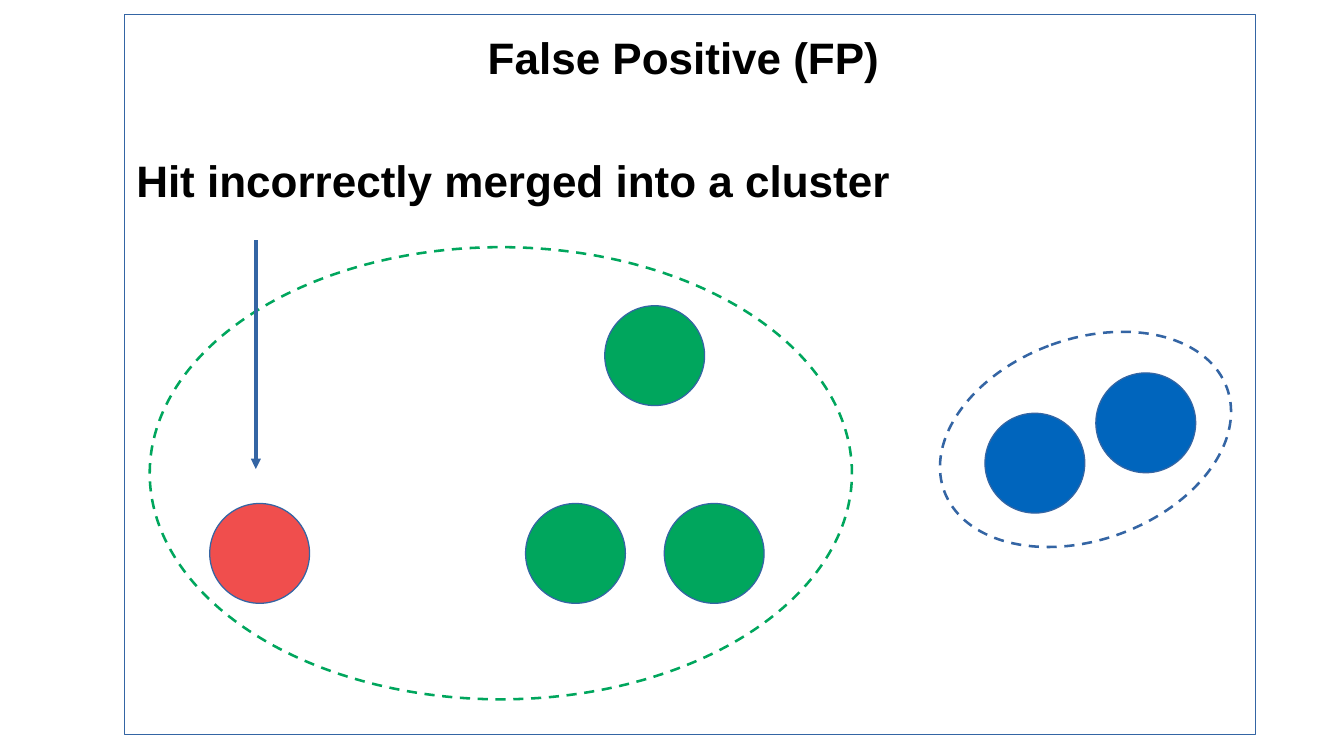
from pptx import Presentation
from pptx.dml.color import RGBColor
from pptx.enum.dml import MSO_LINE
from pptx.enum.shapes import MSO_CONNECTOR, MSO_SHAPE
from pptx.enum.text import MSO_ANCHOR, PP_ALIGN
from pptx.oxml.ns import qn
from pptx.util import Cm, Pt
from lxml import etree

RECTANGLE, OVAL = MSO_SHAPE.RECTANGLE, MSO_SHAPE.OVAL
STRAIGHT, DASH = MSO_CONNECTOR.STRAIGHT, MSO_LINE.DASH
TOP, LEFT, CENTER = MSO_ANCHOR.TOP, PP_ALIGN.LEFT, PP_ALIGN.CENTER
TITLE_ONLY = 5

COLORS = {
    "panel": "FFFFFF",
    "edge": "3465A4",
    "text": "000000",
    "wrong": "F04E4D",
    "green": "00A65D",
    "blue": "0065BD",
}
PANEL = (2.59, 0.3, 23.57, 15.01)
HIT_SIZE = 2.08
TILT = 70


def color(name):
    return RGBColor.from_string(COLORS[name])


def place(panel, left, top, width, height):
    """Turn centimetres measured from the panel corner into slide lengths."""
    return panel.left + Cm(left), panel.top + Cm(top), Cm(width), Cm(height)


def add_outlined(slide, kind, box, fill=None, line="edge", width=0, rotation=0):
    shape = slide.shapes.add_shape(kind, *box)
    shape.shadow.inherit = False
    shape.rotation = rotation
    if fill:
        shape.fill.solid()
        shape.fill.fore_color.rgb = color(fill)
    else:
        shape.fill.background()
    shape.line.color.rgb = color(line)
    shape.line.width = Pt(width)
    return shape


def add_hits(slide, panel, fill, corners, rotation=0):
    for left, top in corners:
        box = place(panel, left, top, HIT_SIZE, HIT_SIZE)
        add_outlined(slide, OVAL, box, fill, rotation=rotation)


def add_cluster_outline(slide, box, line, rotation=0):
    outline = add_outlined(slide, OVAL, box, line=line, width=1.5, rotation=rotation)
    outline.line.dash_style = DASH


def write_heading(shape, box, text, alignment):
    shape.left, shape.top, shape.width, shape.height = box
    frame = shape.text_frame
    frame.word_wrap = True
    frame.vertical_anchor = TOP
    frame.margin_left = frame.margin_right = Cm(0.25)
    frame.margin_top = frame.margin_bottom = Cm(0.13)
    frame.text = text
    paragraph = frame.paragraphs[0]
    paragraph.alignment = alignment
    paragraph.line_spacing = 1.0
    paragraph.space_before = Pt(0)
    font = paragraph.runs[0].font
    font.name, font.size, font.bold = "Arial", Pt(26), True
    font.color.rgb = color("text")


def add_arrow_down(slide, panel, x, top, bottom):
    left, start, _, length = place(panel, x, top, 0, bottom - top)
    arrow = slide.shapes.add_connector(STRAIGHT, left, start, left, start + length)
    arrow.line.color.rgb = color("edge")
    arrow.line.width = Pt(0)
    etree.SubElement(arrow.line._get_or_add_ln(), qn("a:tailEnd"), type="triangle")
    etree.SubElement(arrow.element.spPr, qn("a:effectLst"))


def add_false_positive(slide, left, top, width, height):
    box = Cm(left), Cm(top), Cm(width), Cm(height)
    panel = add_outlined(slide, RECTANGLE, box, "panel")
    title = slide.shapes.title
    title.element.addprevious(panel.element)
    write_heading(title, place(panel, 3.91, 0.2, 15.49, 1.27),
                  "False Positive (FP)", CENTER)

    add_hits(slide, panel, "wrong", [(1.78, 10.19)])
    add_hits(slide, panel, "green", [(8.36, 10.19), (11.25, 10.19), (10.01, 6.07)])
    add_hits(slide, panel, "blue", [(17.93, 8.31), (20.24, 7.47)], TILT)
    add_cluster_outline(slide, place(panel, 17.93, 5.72, 4.19, 6.27), "edge", TILT)
    add_cluster_outline(slide, place(panel, 0.53, 4.85, 14.63, 9.42), "green")

    caption_box = place(panel, 0, 2.77, 21.46, 1.42)
    write_heading(slide.shapes.add_textbox(*caption_box), caption_box,
                  "Hit incorrectly merged into a cluster", LEFT)
    add_arrow_down(slide, panel, 2.74, 4.7, 9.47)


def main():
    presentation = Presentation()
    presentation.slide_width, presentation.slide_height = Cm(28), Cm(15.75)
    slide = presentation.slides.add_slide(presentation.slide_layouts[TITLE_ONLY])
    add_false_positive(slide, *PANEL)
    presentation.save("out.pptx")


if __name__ == "__main__":
    main()
